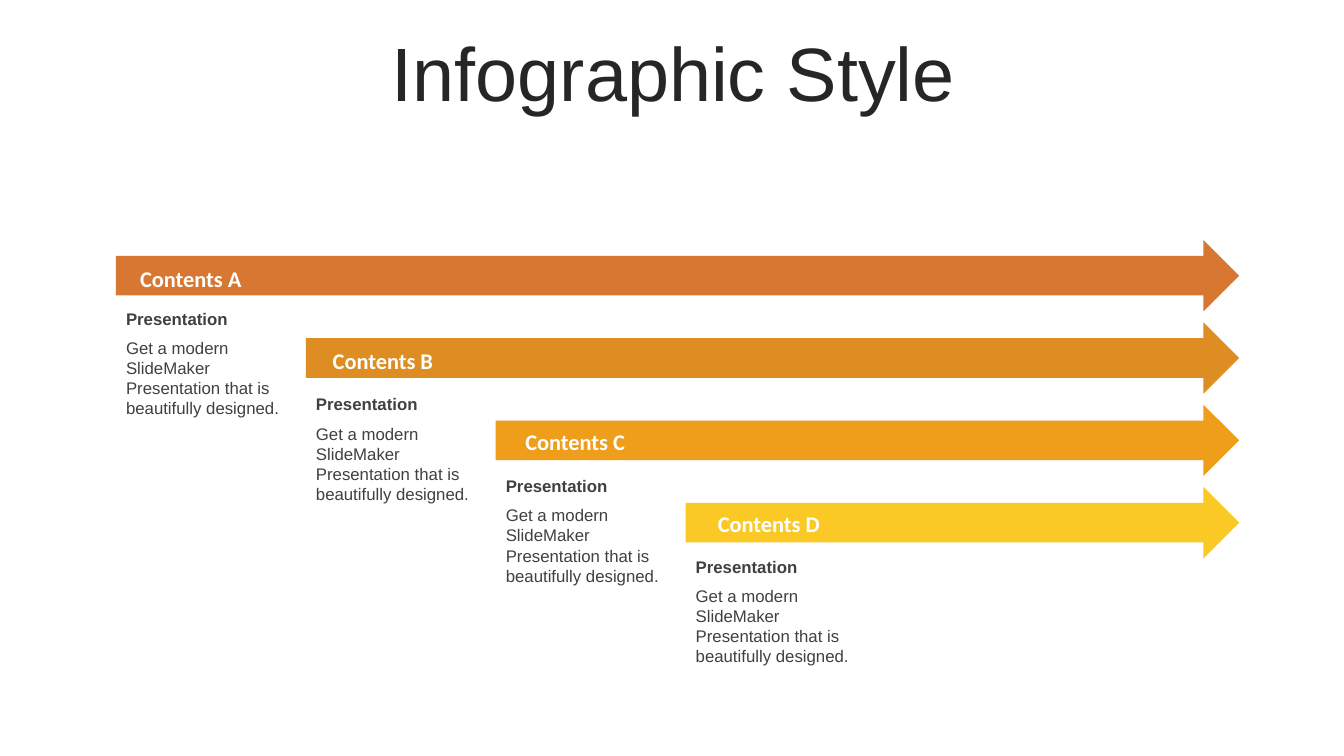
import pptx
import pptx.util
import pptx.dml.color
import pptx.enum.shapes
import pptx.enum.text
from dataclasses import dataclass

Inches = pptx.util.Inches
Align = pptx.enum.text.PP_ALIGN
Anchor = pptx.enum.text.MSO_ANCHOR
Fit = pptx.enum.text.MSO_AUTO_SIZE


def rgb(code):
    return pptx.dml.color.RGBColor.from_string(code)


@dataclass(frozen=True)
class Theme:
    """Colours, and text styles as (font values, colour)."""
    bars: tuple = ("D87732", "DE8D22", "EF9E1B", "FAC926")
    title: tuple = ({"name": "Arial", "size": pptx.util.Pt(54)}, "262626")
    label: tuple = ({"name": "Calibri", "size": pptx.util.Pt(16), "bold": True}, "FFFFFF")
    head: tuple = ({"name": "Arial", "size": pptx.util.Pt(12), "bold": True}, "404040")
    body: tuple = ({"name": "Arial", "size": pptx.util.Pt(12)}, "404040")


THEME = Theme()
TEXT = "Get a modern SlideMaker Presentation that is beautifully designed."
RIGHT = 12.29
STEP_X, STEP_Y = (6.8 - 1.15) / 3, (4.83 - 2.38) / 3
NOTE_TOPS = (3.01, 3.86, 4.67, 5.47)


def apply(target, values):
    for name, value in values.items():
        setattr(target, name, value)


def write(frame, text, style):
    """Put one styled line of text into a frame."""
    values, colour = style
    para = frame.paragraphs[0]
    run = para.add_run()
    run.text = text
    apply(run.font, values)
    run.font.color.rgb = rgb(colour)
    return para


def add_text(slide, box, text, style, anchor=Anchor.TOP):
    frame = slide.shapes.add_textbox(*map(Inches, box)).text_frame
    apply(frame, {
        "word_wrap": True, "auto_size": Fit.SHAPE_TO_FIT_TEXT,
        "vertical_anchor": anchor, "margin_left": 0, "margin_right": 0,
        "margin_top": Inches(0.05), "margin_bottom": Inches(0.05),
    })
    write(frame, text, style)


def add_title(slide, box, text):
    title = slide.shapes.title
    apply(title, dict(zip(("left", "top", "width", "height"), map(Inches, box))))
    frame = title.text_frame
    apply(frame, {"word_wrap": True, "auto_size": Fit.NONE,
                  "vertical_anchor": Anchor.MIDDLE})
    para = write(frame, text, THEME.title)
    apply(para, {"alignment": Align.CENTER, "line_spacing": 0.9})


def add_bar(slide, box, colour):
    kind = pptx.enum.shapes.MSO_SHAPE.RIGHT_ARROW
    bar = slide.shapes.add_shape(kind, *map(Inches, box))
    bar.shadow.inherit = False
    bar.adjustments[0] = 0.553
    bar.adjustments[1] = 0.5
    bar.fill.solid()
    bar.fill.fore_color.rgb = rgb(colour)
    bar.line.fill.background()


def add_note(slide, box):
    """Place a heading with its description below."""
    left, top, width, height = box
    add_text(slide, (left, top, width, 0.3), "Presentation", THEME.head)
    add_text(slide, (left, top + 0.29, width, height - 0.29), TEXT, THEME.body)


def main():
    deck = pptx.Presentation()
    apply(deck, {"slide_width": Inches(13.33), "slide_height": Inches(7.5)})
    slide = deck.slides.add_slide(deck.slide_layouts.get_by_name("Title Only"))
    add_title(slide, (0.35, 0.37, 12.66, 0.79), "Infographic Style")

    for i, colour in enumerate(THEME.bars):
        left, top = 1.15 + i * STEP_X, 2.38 + i * STEP_Y
        add_bar(slide, (left, top, RIGHT - left, 0.71), colour)
    for i, top in enumerate(NOTE_TOPS):
        add_note(slide, (1.25 + i * STEP_X, top, 1.65, 1.2))
    for i, letter in enumerate("ABCD"):
        box = (1.39 + i * 1.91, 2.58 + i * 0.81, 1.65, 0.37)
        add_text(slide, box, f"Contents {letter}", THEME.label, Anchor.MIDDLE)

    deck.save("out.pptx")


if __name__ == "__main__":
    main()
